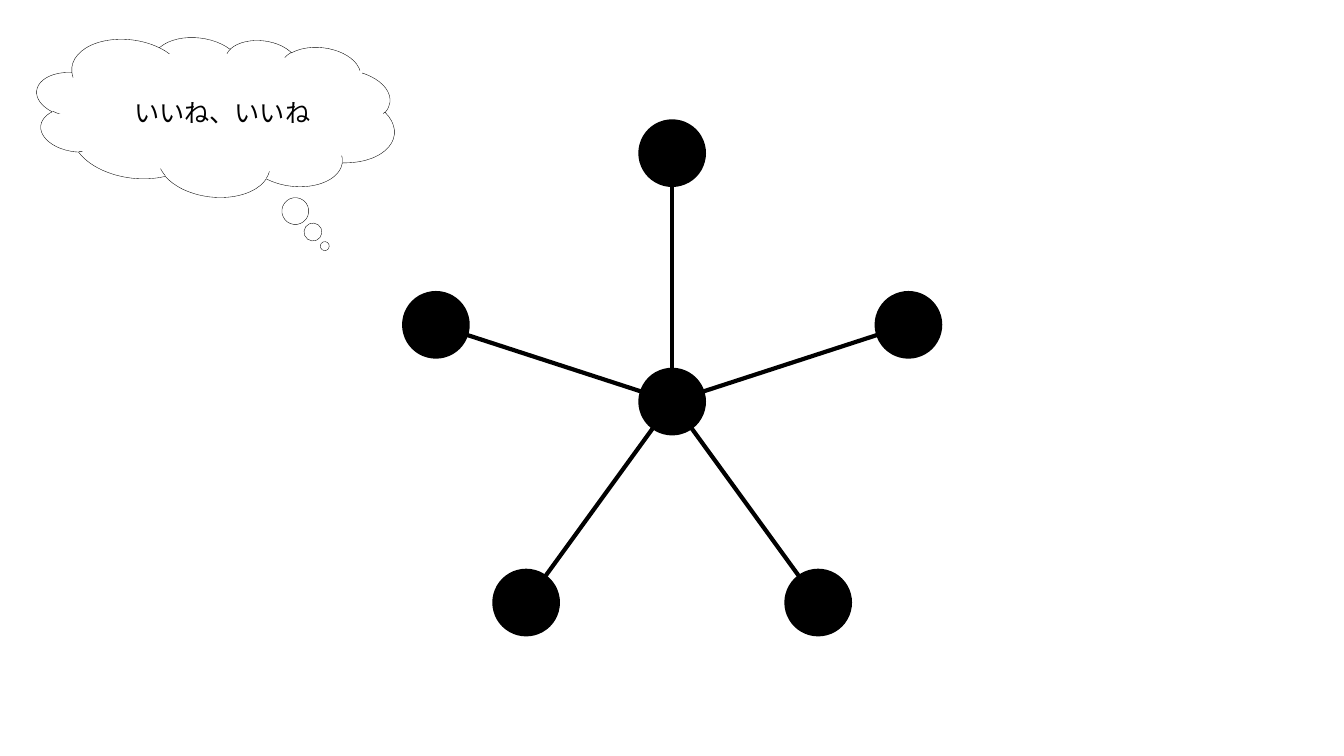
import math

import pptx
import pptx.dml.color
import pptx.enum.shapes
import pptx.enum.text
import pptx.util
from lxml import etree
from pptx.oxml.ns import qn

Cm, Pt = pptx.util.Cm, pptx.util.Pt
SHAPE = pptx.enum.shapes.MSO_SHAPE
FONT = "Noto Sans CJK JP"
BLACK, WHITE = "000000", "FFFFFF"
HUB_X, HUB_Y = 16.94, 10.12
RADIUS, NODE_SIZE = 6.26, 1.6
ARMS = 5


def color(value):
    return pptx.dml.color.RGBColor.from_string(value)


def add_box(s, kind, left, top, width, height, fill, line=None, weight=0, rotation=0):
    sp = s.shapes.add_shape(kind, Cm(left), Cm(top), Cm(width), Cm(height))
    sp.shadow.inherit = False
    sp.rotation = rotation
    sp.fill.solid()
    sp.fill.fore_color.rgb = color(fill)
    if line:
        sp.line.color.rgb = color(line)
        sp.line.width = Pt(weight)
    else:
        sp.line.fill.background()
    return sp


def add_arm(s, x, y):
    arm = s.shapes.add_connector(pptx.enum.shapes.MSO_CONNECTOR.STRAIGHT,
                                 Cm(HUB_X), Cm(HUB_Y), Cm(x), Cm(y))
    arm.line.color.rgb = color(BLACK)
    arm.line.width = Pt(3)
    etree.SubElement(arm._element.spPr, qn("a:effectLst"))


def add_node(s, x, y):
    add_box(s, SHAPE.OVAL, x - NODE_SIZE / 2, y - NODE_SIZE / 2,
            NODE_SIZE, NODE_SIZE, BLACK, BLACK, 3)


def add_star(s):
    angles = [2 * math.pi * i / ARMS for i in range(ARMS)]
    tips = [(HUB_X + RADIUS * math.sin(a), HUB_Y - RADIUS * math.cos(a))
            for a in angles]
    for x, y in tips:
        add_arm(s, x, y)
    for x, y in [(HUB_X, HUB_Y)] + tips:
        add_node(s, x, y)


def add_text(sp, text):
    tf = sp.text_frame
    tf.word_wrap = True
    tf.vertical_anchor = pptx.enum.text.MSO_ANCHOR.MIDDLE
    p = tf.paragraphs[0]
    p.alignment = pptx.enum.text.PP_ALIGN.CENTER
    r = p.add_run()
    r.text = text
    r.font.size = Pt(18)
    r.font.name = FONT
    r.font.color.rgb = color(BLACK)
    # East Asian typeface
    etree.SubElement(r.font._element, qn("a:ea"), typeface=FONT)


def add_thought(s, text):
    cloud = add_box(s, SHAPE.CLOUD_CALLOUT, 0.89, 0.89, 9.07, 4.06,
                    WHITE, BLACK, 0.25, 6.6)
    cloud.adjustments[0] = 0.344
    cloud.adjustments[1] = 0.725
    # White patches hide the cloud's inner arcs
    for left, top, width, height, rotation in [
            (7.9, 3.35, 0.91, 0.38, 62.5),
            (1.42, 2.87, 0.53, 0.3, 0),
            (9.14, 2.79, 0.53, 0.3, 337.6)]:
        add_box(s, SHAPE.RECTANGLE, left, top, width, height, WHITE,
                rotation=rotation)
    label = add_box(s, SHAPE.RECTANGLE, 2.08, 1.78, 7.04, 2.13, WHITE)
    add_text(label, text)


def main():
    prs = pptx.Presentation()
    prs.slide_width, prs.slide_height = Cm(33.87), Cm(19.05)
    s = prs.slides.add_slide(prs.slide_layouts[6])
    # Hub with five arms
    add_star(s)
    # Thought bubble
    add_thought(s, "いいね、いいね")
    prs.save("out.pptx")


if __name__ == "__main__":
    main()
